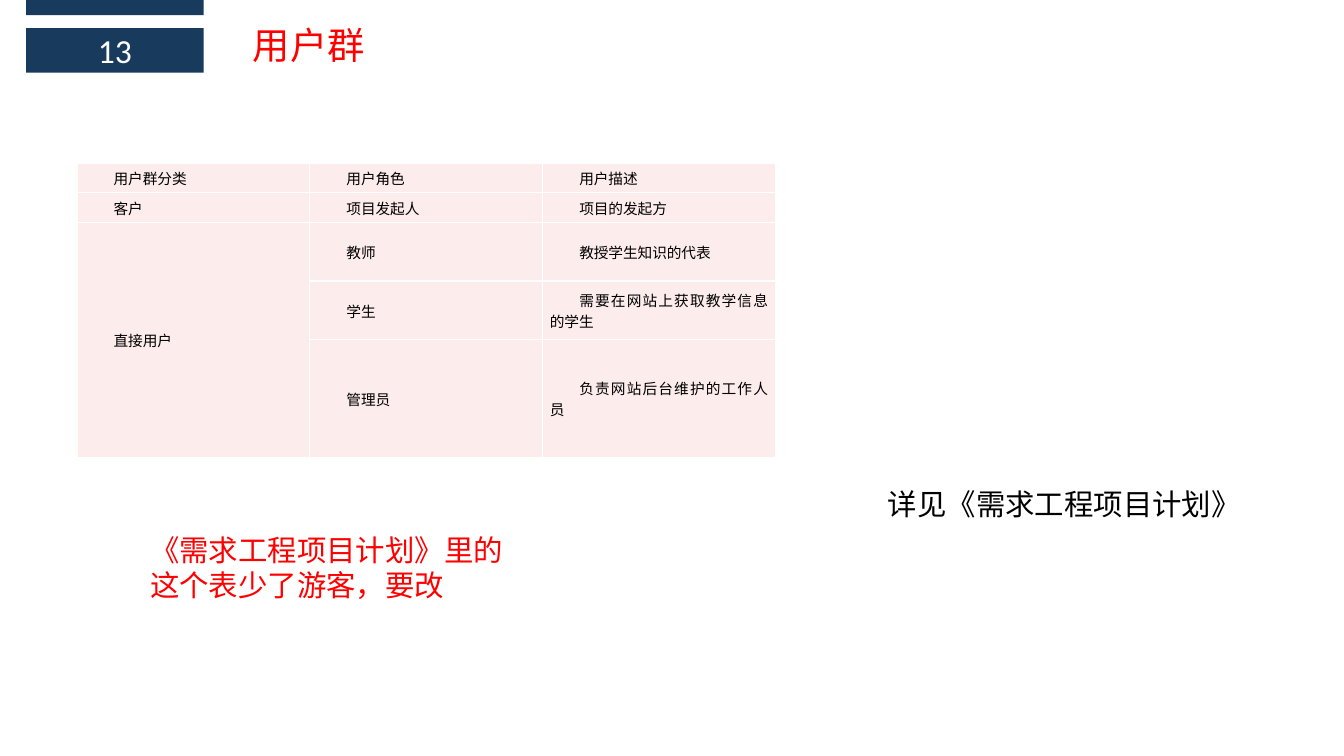
import dataclasses

import pptx
import pptx.dml.color
import pptx.enum.shapes
import pptx.enum.text
import pptx.oxml
import pptx.oxml.ns
import pptx.util
from lxml import etree

Pt = pptx.util.Pt
RGBColor = pptx.dml.color.RGBColor
ALIGN = pptx.enum.text.PP_ALIGN
ANCHOR = pptx.enum.text.MSO_ANCHOR


@dataclasses.dataclass(frozen=True)
class Theme:
    navy: str = "183A5D"
    blush: str = "FCECEB"
    white: str = "FFFFFF"
    black: str = "000000"
    red: str = "FF0000"
    body_font: str = "Calibri"
    title_font: str = "Noto Sans CJK SC"
    title_size: float = 26.6
    number_size: float = 24
    note_size: float = 21
    table_size: float = 10.5


THEME = Theme()

USER_GROUPS = [
    ["用户群分类", "用户角色", "用户描述"],
    ["客户", "项目发起人", "项目的发起方"],
    ["直接用户", "教师", "教授学生知识的代表"],
    ["", "学生", "需要在网站上获取教学信息的学生"],
    ["", "管理员", "负责网站后台维护的工作人员"],
]
ROW_SHARES = [1, 1, 2, 2, 4]


def write(frame, text, size, color, font_name=THEME.body_font):
    """Set one paragraph of text, with the same font for Latin and Chinese."""
    frame.text = text
    paragraph = frame.paragraphs[0]
    for run in paragraph.runs:
        run.font.size = Pt(size)
        run.font.color.rgb = RGBColor.from_string(color)
        run.font.name = font_name
        east_asian = etree.SubElement(run.font._element, pptx.oxml.ns.qn("a:ea"))
        east_asian.set("typeface", font_name)
    return paragraph


def add_bar(slide, left, top, width, height):
    bar = slide.shapes.add_shape(
        pptx.enum.shapes.MSO_SHAPE.RECTANGLE, Pt(left), Pt(top), Pt(width), Pt(height))
    bar.shadow.inherit = False
    bar.fill.solid()
    bar.fill.fore_color.rgb = RGBColor.from_string(THEME.navy)
    bar.line.fill.background()
    return bar


def add_header(slide, left, top, width, height, number, title):
    """Place the two navy bars, the page number and the title."""
    bar_width = 126.7
    add_bar(slide, left, top, bar_width, 10.8)
    number_bar = add_bar(slide, left, top + 20.1, bar_width, height - 20.1)
    number_bar.text_frame.vertical_anchor = ANCHOR.MIDDLE
    page = write(number_bar.text_frame, number, THEME.number_size, THEME.white)
    page.alignment = ALIGN.CENTER

    title_left, title_top = left + 154.8, top + 12.2
    heading = slide.shapes.add_textbox(
        Pt(title_left), Pt(title_top),
        Pt(left + width - title_left), Pt(top + height - title_top)).text_frame
    heading.word_wrap = True
    heading.margin_top = heading.margin_bottom = 0
    heading.vertical_anchor = ANCHOR.MIDDLE
    write(heading, title, THEME.title_size, THEME.red, THEME.title_font)


def add_borders(cell):
    properties = cell._tc.get_or_add_tcPr()
    for position, side in enumerate(("lnL", "lnR", "lnT", "lnB")):
        properties.insert(position, pptx.oxml.parse_xml(
            f'<a:{side} {pptx.oxml.ns.nsdecls("a")} w="{Pt(1)}"><a:solidFill>'
            f'<a:srgbClr val="{THEME.white}"/></a:solidFill></a:{side}>'))


def add_user_table(slide, left, top, width, height):
    table = slide.shapes.add_table(
        len(USER_GROUPS), len(USER_GROUPS[0]),
        Pt(left), Pt(top), Pt(width), Pt(height)).table
    for column in table.columns:
        column.width = Pt(width / len(table.columns))
    for row, share in zip(table.rows, ROW_SHARES):
        row.height = Pt(height * share / sum(ROW_SHARES))
    table.cell(2, 0).merge(table.cell(4, 0))

    for row, entries in enumerate(USER_GROUPS):
        for column, entry in enumerate(entries):
            cell = table.cell(row, column)
            cell.fill.solid()
            cell.fill.fore_color.rgb = RGBColor.from_string(THEME.blush)
            add_borders(cell)
            cell.margin_left = cell.margin_right = Pt(5.2)
            cell.margin_top = cell.margin_bottom = 0
            cell.vertical_anchor = ANCHOR.MIDDLE
            if cell.is_spanned:
                continue
            paragraph = write(cell.text_frame, entry, THEME.table_size, THEME.black)
            paragraph.alignment = ALIGN.JUSTIFY
            paragraph.line_spacing = 1.2
            paragraph._p.get_or_add_pPr().set("indent", str(Pt(2 * THEME.table_size)))


def add_note(slide, left, top, width, height, text, color, wrap):
    note = slide.shapes.add_textbox(Pt(left), Pt(top), Pt(width), Pt(height)).text_frame
    note.word_wrap = wrap
    note.auto_size = pptx.enum.text.MSO_AUTO_SIZE.SHAPE_TO_FIT_TEXT
    write(note, text, THEME.note_size, color)


def main():
    presentation = pptx.Presentation()
    presentation.slide_width, presentation.slide_height = Pt(960), Pt(540)
    slide = presentation.slides.add_slide(presentation.slide_layouts[6])
    add_header(slide, 18.7, 0, 631.5, 52, "13", "用户群")
    add_user_table(slide, 55, 116.8, 499, 209.8)
    add_note(slide, 627.1, 343.4, 266.4, 32.4,
             "详见《需求工程项目计划》", THEME.black, wrap=False)
    add_note(slide, 100.1, 376.6, 272.2, 58.3,
             "《需求工程项目计划》里的这个表少了游客，要改", THEME.red, wrap=True)
    presentation.save("out.pptx")


if __name__ == "__main__":
    main()
